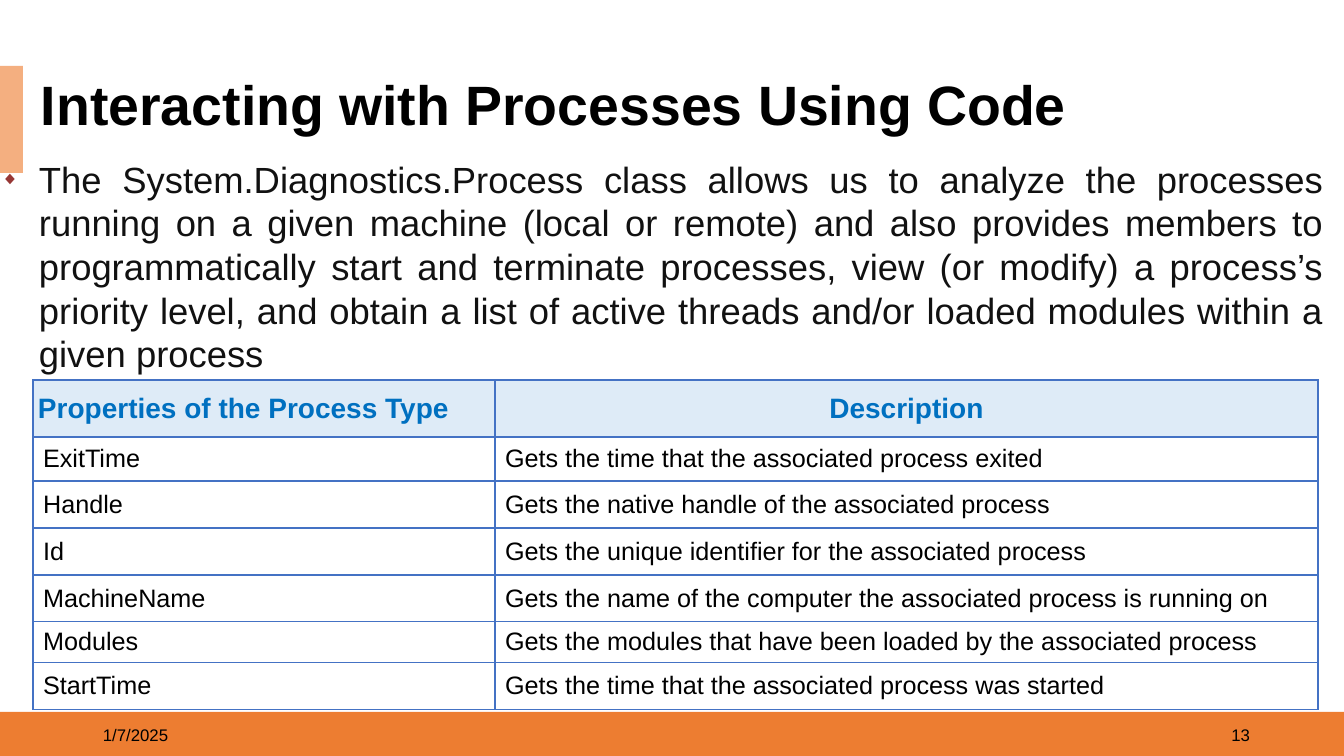
from lxml.etree import SubElement
from pptx import Presentation
from pptx.dml.color import RGBColor
from pptx.enum.shapes import MSO_SHAPE
from pptx.enum.text import MSO_ANCHOR as ANCHOR, PP_ALIGN as ALIGN
from pptx.oxml.ns import qn
from pptx.util import Pt

PX = 914400 / 100.8
FONT = "Arial"
BLACK = RGBColor(0x00, 0x00, 0x00)
WHITE = RGBColor(0xFF, 0xFF, 0xFF)
INK = RGBColor(0x11, 0x11, 0x11)
ORANGE = RGBColor(0xED, 0x7D, 0x31)
PEACH = RGBColor(0xF4, 0xAF, 0x80)
BULLET = RGBColor(0x97, 0x37, 0x35)
HEADER_TEXT = RGBColor(0x00, 0x70, 0xC0)
HEADER_FILL = RGBColor(0xDE, 0xEB, 0xF7)
BORDER = RGBColor(0x44, 0x72, 0xC4)

TITLE = "Interacting with Processes Using Code"
BODY = (
    "The System.Diagnostics.Process class allows us to analyze the processes "
    "running on a given machine (local or remote) and also provides members to "
    "programmatically start and terminate processes, view (or modify) a process’s "
    "priority level, and obtain a list of active threads and/or loaded modules "
    "within a given process"
)
COLUMNS = (462, 823)
ROW_HEIGHTS = (57, 44, 47, 47, 47, 40, 47)
PROPERTIES = (
    ("Properties of the Process Type", "Description"),
    ("ExitTime", "Gets the time that the associated process exited"),
    ("Handle", "Gets the native handle of the associated process"),
    ("Id", "Gets the unique identifier for the associated process"),
    ("MachineName", "Gets the name of the computer the associated process is running on"),
    ("Modules", "Gets the modules that have been loaded by the associated process"),
    ("StartTime", "Gets the time that the associated process was started"),
)


def px(n):
    return round(n * PX)


def write(tf, text, size, color, bold=False, align=ALIGN.LEFT):
    p = tf.paragraphs[0]
    p.text = text
    p.alignment = align
    font = p.runs[0].font
    font.name, font.size, font.bold = FONT, Pt(size), bold
    font.color.rgb = color
    return p


def add_bar(slide, x, y, w, h, color):
    s = slide.shapes.add_shape(MSO_SHAPE.RECTANGLE, px(x), px(y), px(w), px(h))
    s.shadow.inherit = False
    s.fill.solid()
    s.fill.fore_color.rgb = color
    s.line.fill.background()


def add_text(slide, x, y, w, h, text, size, color, anchor=ANCHOR.MIDDLE, **style):
    s = slide.shapes.add_textbox(px(x), px(y), px(w), px(h))
    tf = s.text_frame
    tf.word_wrap = True
    tf.vertical_anchor = anchor
    return s, write(tf, text, size, color, **style)


def add_bullet(p, char, color, percent, indent):
    pPr = p._p.get_or_add_pPr()
    pPr.set("marL", str(px(indent)))
    pPr.set("indent", str(-px(indent)))
    SubElement(SubElement(pPr, qn("a:buClr")), qn("a:srgbClr"), val=str(color))
    SubElement(pPr, qn("a:buSzPct"), val=str(percent * 1000))
    SubElement(pPr, qn("a:buFont"), typeface=FONT)
    SubElement(pPr, qn("a:buChar"), char=char)


def add_borders(cell, color, width):
    tcPr = cell._tc.get_or_add_tcPr()
    for side in ("lnL", "lnR", "lnT", "lnB"):
        ln = SubElement(tcPr, qn(f"a:{side}"), w=str(Pt(width)))
        SubElement(SubElement(ln, qn("a:solidFill")), qn("a:srgbClr"), val=str(color))


def format_header(cell):
    cell.margin_left = cell.margin_right = px(5)
    cell.margin_top = cell.margin_bottom = px(2)
    cell.fill.solid()
    cell.fill.fore_color.rgb = HEADER_FILL


def add_properties_table(slide, x, y):
    table = slide.shapes.add_table(
        len(PROPERTIES), len(COLUMNS), px(x), px(y), px(sum(COLUMNS)), px(sum(ROW_HEIGHTS))
    ).table
    table.first_row = table.horz_banding = False
    for column, width in zip(table.columns, COLUMNS):
        column.width = px(width)
    for i, (row, height) in enumerate(zip(table.rows, ROW_HEIGHTS)):
        row.height = px(height)
        for j, cell in enumerate(row.cells):
            cell.vertical_anchor = ANCHOR.MIDDLE
            add_borders(cell, BORDER, 1)
            if i == 0:
                format_header(cell)
                align = ALIGN.CENTER if j else ALIGN.LEFT
                write(cell.text_frame, PROPERTIES[i][j], 20, HEADER_TEXT, True, align)
            else:
                cell.fill.background()
                write(cell.text_frame, PROPERTIES[i][j], 18, BLACK)


def main():
    prs = Presentation()
    prs.slide_width, prs.slide_height = px(1344), px(756)
    slide = prs.slides.add_slide(prs.slide_layouts[6])

    add_bar(slide, 0, 712, 1344, 44, ORANGE)
    add_bar(slide, 0, 66, 23, 107, PEACH)
    add_text(slide, 93, 715, 302, 40, "1/7/2025", 12, BLACK)
    add_text(slide, 958, 715, 302, 40, "13", 12, BLACK, align=ALIGN.RIGHT)

    title, p = add_text(slide, 31, 75, 1295, 64, TITLE, 39.6, BLACK, bold=True)
    title.fill.solid()
    title.fill.fore_color.rgb = WHITE
    p.line_spacing = 0.9

    _, p = add_text(slide, -9, 152, 1344, 239, BODY, 26, INK, ANCHOR.TOP, align=ALIGN.JUSTIFY)
    p.space_before = p.space_after = Pt(3)
    add_bullet(p, "◆", BULLET, 50, 38)

    add_properties_table(slide, 33, 380)
    prs.save("out.pptx")


if __name__ == "__main__":
    main()
